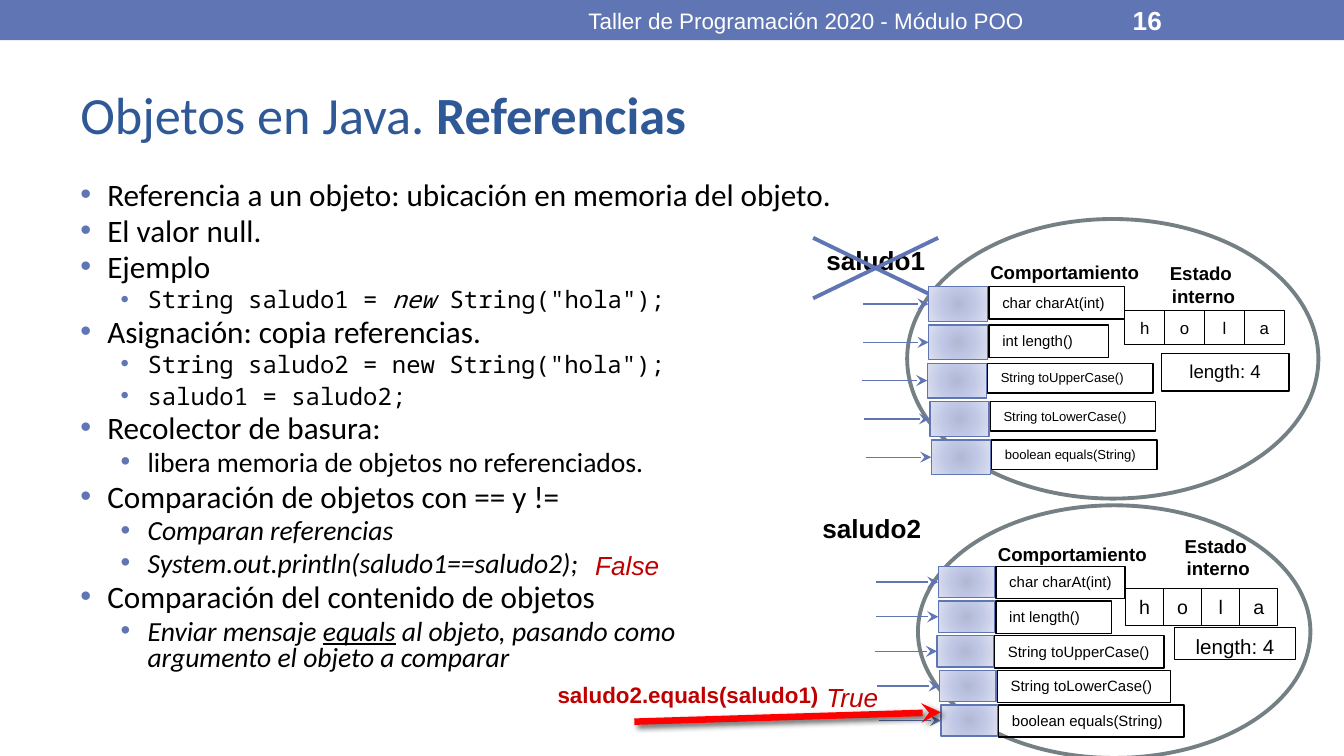
from lxml import etree
from pptx import Presentation
from pptx.dml.color import RGBColor
from pptx.enum.shapes import MSO_CONNECTOR, MSO_SHAPE
from pptx.enum.text import MSO_ANCHOR, PP_ALIGN
from pptx.oxml import parse_xml
from pptx.oxml.ns import nsdecls, qn
from pptx.util import Inches, Pt

STRAIGHT = MSO_CONNECTOR.STRAIGHT
RECT, OVAL = MSO_SHAPE.RECTANGLE, MSO_SHAPE.OVAL
LEFT, CENTER = PP_ALIGN.LEFT, PP_ALIGN.CENTER
TOP, MIDDLE = MSO_ANCHOR.TOP, MSO_ANCHOR.MIDDLE
LEFT_SIDE = 1

COLORS = {"blue": "6076B4", "title": "2F5897", "black": "000000", "white": "FFFFFF",
          "gray": "758085", "dark_red": "C00000", "red": "FF0000"}
SOCKET_STOPS = [(0, "B2B8D2"), (45, "BFC7E5"), (100, "DCE0F0")]
SANS, BODY, MONO = "Arial", "Calibri", "Noto Sans Mono"

# Body lines: level, font, size and space before, then spans of (text, style)
TOPIC, POINT, CODE = (0, BODY, 16.7, 3.3), (1, BODY, 14.8, 3), (1, MONO, 12.8, 3)
LAST_CODE = (1, MONO, 12.8, 4.8)
BULLETS = [
    (TOPIC, [("Referencia a un objeto: ubicación en memoria del objeto.", "")]),
    (TOPIC, [("El valor null.", "")]),
    (TOPIC, [("Ejemplo", "")]),
    (CODE, [("String saludo1 = ", ""), ("new", "i"), (' String("hola");', "")]),
    (TOPIC, [("Asignación: copia referencias.", "")]),
    (CODE, [('String saludo2 = new String("hola");', "")]),
    (LAST_CODE, [("saludo1 = saludo2;", "")]),
    (TOPIC, [("Recolector de basura:", "")]),
    (POINT, [("libera memoria de objetos no referenciados.", "")]),
    (TOPIC, [("Comparación de objetos con == y !=", "")]),
    (POINT, [("Comparan referencias", "i")]),
    (POINT, [("System.out.println(saludo1==saludo2);", "i")]),
    (TOPIC, [("Comparación del contenido de objetos", "")]),
    (POINT, [("Enviar mensaje ", "i"), ("equals", "iu"),
             (" al objeto, pasando como \nargumento el objeto a comparar", "i")]),
]
METHODS = ["char charAt(int)", "int length()", "String toUpperCase()",
           "String toLowerCase()", "boolean equals(String)"]
ROW_SHIFTS = [0, 0, -0.01, 0.01, 0.02]


def rgb(name):
    return RGBColor.from_string(COLORS[name])


def style_span(span, font, size, color="black", style=""):
    span.font.name, span.font.size = font, Pt(size)
    span.font.color.rgb = rgb(color)
    span.font.bold, span.font.italic = "b" in style, "i" in style
    span.font.underline = "u" in style


def write(shape, text, size, font=SANS, color="black", style="", align=LEFT, anchor=TOP):
    frame = shape.text_frame
    frame.word_wrap, frame.vertical_anchor = True, anchor
    frame.text = text
    for para in frame.paragraphs:
        para.alignment = align
        for span in para.runs:
            style_span(span, font, size, color, style)
    return frame


def add_text(page, box, text, size, **options):
    return write(page.shapes.add_textbox(*map(Inches, box)), text, size, **options)


def add_box(page, box, kind=RECT, fill=None, line="black", width=0.75):
    shape = page.shapes.add_shape(kind, *map(Inches, box))
    shape.shadow.inherit = False
    if fill:
        shape.fill.solid()
        shape.fill.fore_color.rgb = rgb(fill)
    else:
        shape.fill.background()
    if line:
        shape.line.color.rgb = rgb(line)
        shape.line.width = Pt(width)
    else:
        shape.line.fill.background()
    return shape


def add_line(page, start, end, color="blue", width=0.75, arrow=False):
    line = page.shapes.add_connector(STRAIGHT, *map(Inches, (*start, *end)))
    line.line.color.rgb = rgb(color)
    line.line.width = Pt(width)
    if arrow:
        etree.SubElement(line.line._get_or_add_ln(), qn("a:tailEnd"), type="stealth")
    effects = etree.SubElement(line._element.spPr, qn("a:effectLst"))
    return line, effects


def fill_radial(shape):
    stops = "".join(f'<a:gs pos="{pos * 1000}"><a:srgbClr val="{color}"/></a:gs>'
                    for pos, color in SOCKET_STOPS)
    gradient = parse_xml(
        f'<a:gradFill {nsdecls("a")}><a:gsLst>{stops}</a:gsLst><a:path path="circle">'
        '<a:fillToRect l="50000" t="50000" r="50000" b="50000"/></a:path></a:gradFill>')
    properties = shape._element.spPr
    properties.replace(properties.find(qn("a:noFill")), gradient)


def add_header(page, box):
    left, top, width, height = box
    add_box(page, box, fill="blue", line=None)
    add_text(page, (left + 3.75, top + 0.01, 4.5, height - 0.02),
             "Taller de Programación 2020 - Módulo POO", 12,
             color="white", align=CENTER, anchor=MIDDLE)
    add_text(page, (left + 8.33, top + 0.01, 1.17, height - 0.02), "16", 14,
             color="white", style="b", anchor=MIDDLE)


def add_title(page, box):
    frame = add_text(page, box, "Objetos en Java. ", 28, font=BODY, color="title", anchor=MIDDLE)
    span = frame.paragraphs[0].add_run()
    span.text = "Referencias"
    style_span(span, BODY, 28, "title", "b")


def add_bullets(page, box):
    frame = page.shapes.add_textbox(*map(Inches, box)).text_frame
    frame.word_wrap = True
    for index, ((level, font, size, space), spans) in enumerate(BULLETS):
        para = frame.add_paragraph() if index else frame.paragraphs[0]
        para.level, para.line_spacing = level, 0.8
        para.space_before = Pt(space if index else 0)
        for text, style in spans:
            for part, piece in enumerate(text.split("\n")):
                if part:
                    para.add_line_break()
                span = para.add_run()
                span.text = piece
                style_span(span, font, size, style=style)
        properties = para._p.get_or_add_pPr()
        properties.set("marL", str(Inches(0.5 if level else 0.2)))
        properties.set("indent", str(Inches(-0.2)))
        bullet_color = etree.SubElement(properties, qn("a:buClr"))
        etree.SubElement(bullet_color, qn("a:srgbClr"), val=COLORS["blue"])
        etree.SubElement(properties, qn("a:buFont"), typeface=SANS)
        etree.SubElement(properties, qn("a:buChar"), char="•")


def add_object(page, box, label_widths, label_sizes, cell_height, cell_size,
               state_box, length_box, length_size):
    """Ellipse with the methods on the left and the inner state on the right."""
    left, top, width, height = box
    add_box(page, box, OVAL, fill="white", line="gray", width=2.08)

    # Inner state
    cell_width = width * 0.097
    for index, letter in enumerate("hola"):
        cell = add_box(page, (left + width * 0.529 + index * cell_width, top + height * 0.328,
                              cell_width, cell_height))
        write(cell, letter, cell_size, align=CENTER)
    x, y, w, h = state_box
    add_text(page, (left + x, top + y, w, h), "Estado\n interno", 10, style="b", align=CENTER)
    x, y, w, h = length_box
    write(add_box(page, (left + x, top + y, w, h)), "length: 4", length_size, align=CENTER)

    # Methods
    add_text(page, (left + width * 0.17, top + height * 0.124, width * 0.475, 0.28),
             "Comportamiento", 10, style="b")
    socket_width, socket_height = width * 0.144, height * 0.124
    rows = zip(METHODS, ROW_SHIFTS, label_widths, label_sizes)
    for index, (method, shift, label_width, size) in enumerate(rows):
        x = left + width * 0.052 + shift
        y = top + height * (0.242 + index * 0.137)
        label_height = 0.24 if size == 8 else 0.22
        write(add_box(page, (x + width * 0.147, y, label_width, label_height)), method, size)
        socket = add_box(page, (x, y, socket_width, socket_height), line="blue")
        fill_radial(socket)
        middle = y + socket_height / 2
        arrow, _ = add_line(page, (x - width * 0.159, middle), (x, middle), arrow=True)
        arrow.end_connect(socket, LEFT_SIDE)


def add_cross(page, box):
    left, top, width, height = box
    add_line(page, (left, top + height), (left + width, top), width=2.08)
    add_line(page, (left, top), (left + width, top + height), width=2.08)


def add_results(page, box):
    """Call arrow and the outcomes of both comparisons."""
    left, top = box[:2]
    _, effects = add_line(page, (left + 0.67, top + 1.33), (left + 2.95, top + 1.26),
                          "red", 3.5, arrow=True)
    effects.append(parse_xml(
        f'<a:outerShdw {nsdecls("a")} blurRad="{Pt(3)}" dist="{Pt(2)}" dir="2700000">'
        '<a:srgbClr val="000000"><a:alpha val="60000"/></a:srgbClr></a:outerShdw>'))
    add_text(page, (left, top + 0.98, 2.58, 0.3), "saludo2.equals(saludo1)", 12,
             color="dark_red", style="b")
    add_text(page, (left + 0.28, top, 0.68, 0.34), "False", 14, color="dark_red", style="i")
    add_text(page, (left + 2, top + 0.98, 0.59, 0.3), "True", 14, color="dark_red", style="i")


def main():
    deck = Presentation()
    deck.slide_width = Inches(10)
    deck.slide_height = deck.slide_width * 9 // 16
    page = deck.slides.add_slide(deck.slide_layouts[6])
    add_header(page, (0, 0, 10, 0.3))
    add_title(page, (0.5, 0.44, 9, 0.81))
    add_bullets(page, (0.5, 1.31, 9.31, 4))
    add_object(page, (6.83, 3.76, 2.92, 1.88), [0.96, 0.86, 1.26, 1.29, 1.38], [8] * 5,
               0.28, 10.5, (1.45, 0.17, 1.53, 0.44), (1.91, 0.91, 0.9, 0.24), 11)
    add_text(page, (6.05, 1.77, 1.39, 0.34), "saludo1", 14, style="b")
    add_text(page, (6.02, 3.76, 1.39, 0.34), "saludo2", 14, style="b")
    add_cross(page, (6.05, 1.77, 0.93, 0.45))
    add_object(page, (6.75, 1.63, 3.06, 2.08), [1.01, 0.89, 1.23, 1.23, 1.23], [8, 8, 7, 7, 7],
               0.25, 9, (1.46, 0.27, 1.45, 0.45), (1.89, 1, 0.95, 0.28), 10)
    add_results(page, (4.05, 4.04, 2.95, 1.33))
    deck.save("out.pptx")


if __name__ == "__main__":
    main()
